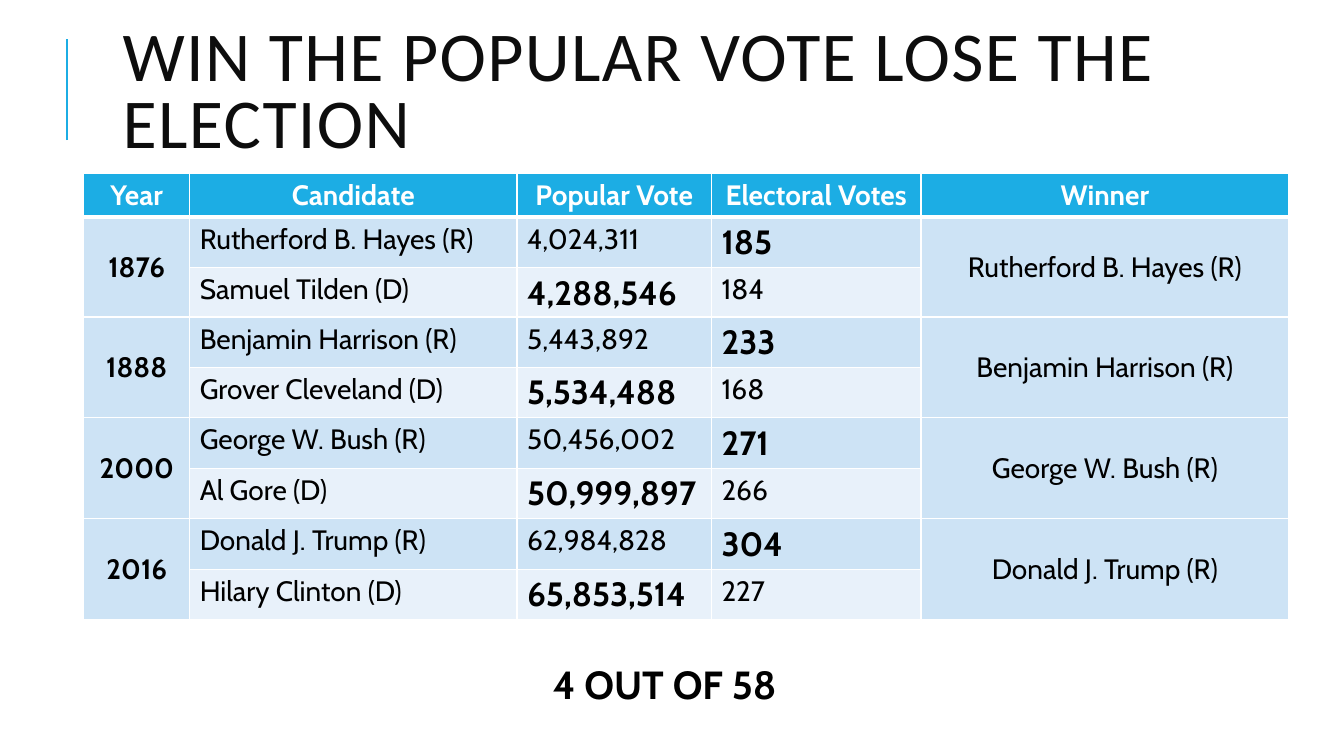
from dataclasses import dataclass

from lxml import etree
from pptx import Presentation
from pptx.dml.color import RGBColor
from pptx.enum.shapes import MSO_CONNECTOR
from pptx.enum.text import MSO_ANCHOR, PP_ALIGN
from pptx.oxml.ns import qn
from pptx.util import Cm, Pt

STRAIGHT = MSO_CONNECTOR.STRAIGHT
TOP, MIDDLE = MSO_ANCHOR.TOP, MSO_ANCHOR.MIDDLE
LEFT, CENTER = PP_ALIGN.LEFT, PP_ALIGN.CENTER


@dataclass(frozen=True)
class Theme:
    accent: str = "1CADE4"
    dark_band: str = "CDE3F5"
    light_band: str = "E8F1FA"
    white: str = "FFFFFF"
    black: str = "000000"
    title_ink: str = "0D0D0D"
    title_font: str = "Calibri"
    body_font: str = "Cabin"
    title_size: int = 50
    summary_size: int = 28
    strong_size: int = 24
    body_size: int = 20


THEME = Theme()
TABLE_LEFT, TABLE_TOP = 2.11, 4.37
COLUMN_WIDTHS = (2.67, 8.25, 4.9, 5.28, 9.27)
HEADER_HEIGHT, ROW_HEIGHT = 1.08, 1.27
HEADINGS = ("Year", "Candidate", "Popular Vote", "Electoral Votes", "Winner")
ELECTIONS = (
    ("1876", ("Rutherford B. Hayes (R)", "4,024,311", "185"),
     ("Samuel Tilden (D)", "4,288,546", "184")),
    ("1888", ("Benjamin Harrison (R)", "5,443,892", "233"),
     ("Grover Cleveland (D)", "5,534,488", "168")),
    ("2000", ("George W. Bush (R)", "50,456,002", "271"),
     ("Al Gore (D)", "50,999,897", "266")),
    ("2016", ("Donald J. Trump (R)", "62,984,828", "304"),
     ("Hilary Clinton (D)", "65,853,514", "227")),
)


def add_span(para, text, size, color=THEME.black, bold=False, font=THEME.body_font):
    span = para.add_run()
    span.text = text
    span.font.size = Pt(size)
    span.font.name = font
    span.font.bold = bold
    span.font.color.rgb = RGBColor.from_string(color)
    return span


def add_box(page, left, top, width, height, anchor=TOP, align=LEFT):
    box = page.shapes.add_textbox(Cm(left), Cm(top), Cm(width), Cm(height))
    box.text_frame.word_wrap = True
    box.text_frame.vertical_anchor = anchor
    para = box.text_frame.paragraphs[0]
    para.alignment = align
    return para


def add_title(page, text):
    para = add_box(page, 2.84, 0.3, 27, 4.17, anchor=MIDDLE)
    para.line_spacing = 0.8
    span = add_span(para, text, THEME.title_size, THEME.title_ink, font=THEME.title_font)
    span.font._element.set("spc", "100")


def add_accent_line(page):
    line = page.shapes.add_connector(STRAIGHT, Cm(1.68), Cm(3.53), Cm(1.68), Cm(0.99))
    line.line.color.rgb = RGBColor.from_string(THEME.accent)
    line.line.width = Pt(1.5)
    etree.SubElement(line._element.spPr, qn("a:effectLst"))


def style_cell(cell, fill, bottom_width=1):
    properties = cell._tc.get_or_add_tcPr()
    for side in ("L", "R", "T", "B"):
        width = bottom_width if side == "B" else 1
        border = etree.SubElement(properties, qn(f"a:ln{side}"), w=str(Pt(width)))
        solid = etree.SubElement(border, qn("a:solidFill"))
        etree.SubElement(solid, qn("a:srgbClr"), val=THEME.white)
    cell.fill.solid()
    cell.fill.fore_color.rgb = RGBColor.from_string(fill)


def write_cell(cell, text, color=THEME.black, size=THEME.body_size, bold=False,
               align=LEFT, anchor=TOP):
    cell.vertical_anchor = anchor
    para = cell.text_frame.paragraphs[0]
    para.alignment = align
    add_span(para, text, size, color, bold)


def write_header(table):
    for column, heading in enumerate(HEADINGS):
        cell = table.cell(0, column)
        style_cell(cell, THEME.accent, bottom_width=3)
        write_cell(cell, heading, THEME.white, bold=True, align=CENTER)


def write_election(table, first_row, year, winner, loser):
    last_column = len(HEADINGS) - 1
    for offset, candidate in enumerate((winner, loser)):
        row = first_row + offset
        band = THEME.light_band if offset else THEME.dark_band
        for column, text in enumerate(candidate, start=1):
            strong = (column == 3 and candidate is winner) or (
                column == 2 and candidate is loser)
            cell = table.cell(row, column)
            style_cell(cell, band)
            size = THEME.strong_size if strong else THEME.body_size
            write_cell(cell, text, size=size, bold=strong)
        for column in (0, last_column):
            style_cell(table.cell(row, column), THEME.dark_band)
    for column, text in ((0, year), (last_column, winner[0])):
        cell = table.cell(first_row, column)
        cell.merge(table.cell(first_row + 1, column))
        write_cell(cell, text, bold=column == 0, align=CENTER, anchor=MIDDLE)


def add_election_table(page, top, election, with_header):
    heights = [HEADER_HEIGHT] * with_header + [ROW_HEIGHT] * 2
    frame = page.shapes.add_table(
        len(heights), len(HEADINGS), Cm(TABLE_LEFT), Cm(top),
        Cm(sum(COLUMN_WIDTHS)), Cm(sum(heights)))
    table = frame.table
    table.first_row = with_header
    table.horz_banding = False
    for column, width in zip(table.columns, COLUMN_WIDTHS):
        column.width = Cm(width)
    for row, height in zip(table.rows, heights):
        row.height = Cm(height)
    if with_header:
        write_header(table)
    write_election(table, int(with_header), *election)
    return top + sum(heights)


def main():
    deck = Presentation()
    deck.slide_width, deck.slide_height = Cm(33.87), Cm(19.05)
    page = deck.slides.add_slide(deck.slide_layouts[6])
    add_accent_line(page)
    add_title(page, "WIN THE POPULAR VOTE LOSE THE ELECTION")
    top = TABLE_TOP
    for index, election in enumerate(ELECTIONS):
        top = add_election_table(page, top, election, with_header=index == 0)
    summary = add_box(page, 12.32, 16.51, 8.86, 1.45, align=CENTER)
    add_span(summary, "4 OUT OF 58", THEME.summary_size, bold=True)
    deck.save("out.pptx")


if __name__ == "__main__":
    main()
